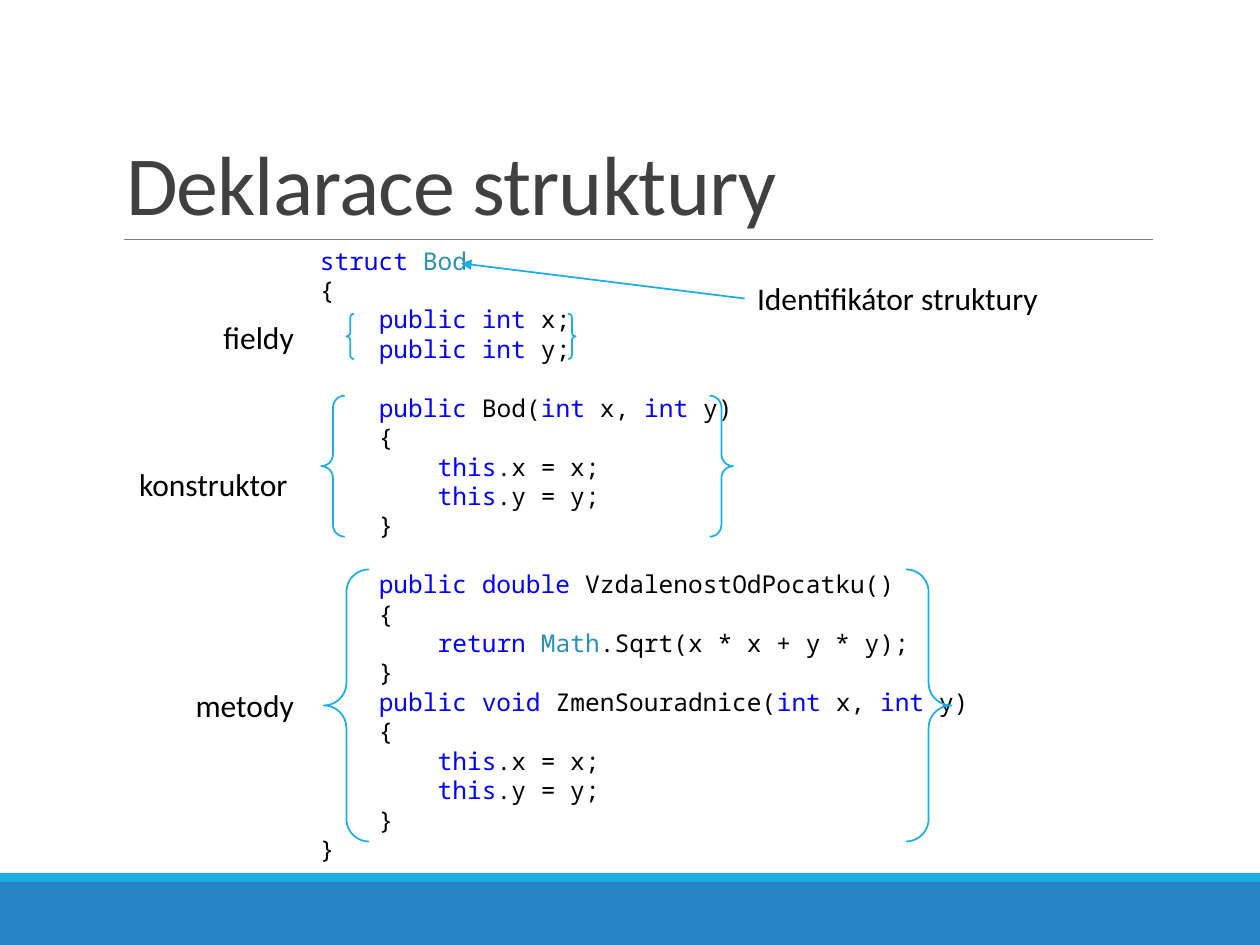
from typing import NamedTuple

from lxml import etree
from pptx import Presentation
from pptx.dml.color import RGBColor
from pptx.enum import shapes, text
from pptx.oxml import ns
from pptx.util import Pt

BLACK = RGBColor(0x00, 0x00, 0x00)
WHITE = RGBColor(0xFF, 0xFF, 0xFF)
DARK = RGBColor(0x40, 0x40, 0x40)
GRAY = RGBColor(0x80, 0x80, 0x80)
BLUE = RGBColor(0x26, 0x83, 0xC6)
CYAN = RGBColor(0x1C, 0xAD, 0xE4)
KEY = RGBColor(0x00, 0x00, 0xFF)
TYPE = RGBColor(0x2B, 0x91, 0xAF)

SANS, MONO = "Calibri", "Noto Sans Mono"
PITCH = 16.8  # height of one code line


class Box(NamedTuple):
    left: float
    top: float
    width: float
    height: float


class Run(NamedTuple):
    words: str
    color: RGBColor = BLACK


class Line(NamedTuple):
    runs: tuple
    gap: float = 0


class Part(NamedTuple):
    name: str
    label: Box
    brace: Box
    inset: float = 7.2


def code(*runs: Run, gap: float = 0) -> Line:
    return Line(runs, gap)


def key(words: str) -> Run:
    return Run(words, KEY)


TAB = Run("    ")
OPEN, CLOSE = code(Run("    {")), code(Run("    }"))
ARGS = (key("int"), Run(" x, "), key("int"), Run(" y)"))
FIELDS = [code(TAB, key("public int"), Run(f" {n};")) for n in "xy"]
ASSIGN = [code(TAB, TAB, key("this"), Run(f".{n} = {n};")) for n in "xy"]
BODY = [OPEN, *ASSIGN, CLOSE]

CODE = [
    code(key("struct "), Run("Bod", TYPE)),
    code(Run("{")),
    *FIELDS,
    code(TAB, key("public"), Run(" Bod("), *ARGS, gap=PITCH),
    *BODY,
    code(TAB, key("public double "), Run("VzdalenostOdPocatku()"), gap=PITCH),
    OPEN,
    code(TAB, TAB, key("return "), Run("Math", TYPE),
         Run(".Sqrt(x * x + y * y);")),
    CLOSE,
    code(TAB, key("public void"), Run(" ZmenSouradnice("), *ARGS),
    *BODY,
    code(Run("}")),
]

PARTS = [
    Part("fieldy", Box(56.2, 186.5, 118.8, 12.2),
         Box(198, 179.3, 131, 25.9)),
    Part("konstruktor", Box(51.8, 251.3, 123.1, 50.4),
         Box(183.6, 226.1, 235.4, 80.6), 10.6),
    Part("metody", Box(56.2, 389.5, 118.8, 26.6),
         Box(185, 325.4, 358.6, 155.5)),
]


def place(box: Box) -> list:
    return [Pt(n) for n in box]


def add_run(para, run: Run, face: str, size: float):
    item = para.add_run()
    item.text = run.words
    item.font.name, item.font.size = face, Pt(size)
    item.font.color.rgb = run.color
    return item


def add_rect(slide, box: Box, fill: RGBColor):
    rect = slide.shapes.add_shape(shapes.MSO_SHAPE.RECTANGLE, *place(box))
    rect.shadow.inherit = False
    rect.fill.solid()
    rect.fill.fore_color.rgb = fill
    rect.line.fill.background()
    return rect


def add_brace(slide, box: Box) -> None:
    brace = slide.shapes.add_shape(shapes.MSO_SHAPE.DOUBLE_BRACE, *place(box))
    brace.shadow.inherit = False
    brace.fill.background()
    brace.line.color.rgb, brace.line.width = CYAN, Pt(1)


def add_line(slide, ends: tuple, color: RGBColor, width: float):
    line = slide.shapes.add_connector(
        shapes.MSO_CONNECTOR.STRAIGHT, *[Pt(n) for n in ends])
    line.line.color.rgb, line.line.width = color, Pt(width)
    etree.SubElement(line._element.spPr, ns.qn("a:effectLst"))
    return line


def add_text(slide, box: Box, lines: list, face: str, size: float):
    area = slide.shapes.add_textbox(*place(box))
    frame = area.text_frame
    frame.word_wrap = True
    for i, line in enumerate(lines):
        para = frame.add_paragraph() if i else frame.paragraphs[0]
        if line.gap:
            para.space_before = Pt(line.gap)
        for run in line.runs:
            add_run(para, run, face, size)
    return area


def add_part(slide, part: Part) -> None:
    frame = add_rect(slide, part.label, WHITE).text_frame
    frame.vertical_anchor = text.MSO_ANCHOR.MIDDLE
    frame.margin_right = Pt(part.inset)
    para = frame.paragraphs[0]
    para.alignment = text.PP_ALIGN.RIGHT
    add_run(para, Run(part.name), SANS, 18)
    add_brace(slide, part.brace)


def add_title(slide, words: str) -> None:
    title = slide.shapes.title
    title.left, title.top, title.width, title.height = place(
        Box(64.8, 22.3, 594, 114.5))
    frame = title.text_frame
    frame.auto_size = text.MSO_AUTO_SIZE.NONE
    frame.vertical_anchor = text.MSO_ANCHOR.BOTTOM
    para = frame.paragraphs[0]
    para.alignment, para.line_spacing = text.PP_ALIGN.LEFT, 0.85
    run = add_run(para, Run(words, DARK), SANS, 48)
    run.font._element.set("spc", "-50")


def main() -> None:
    deck = Presentation()
    deck.slide_width, deck.slide_height = Pt(720), Pt(540)
    slide = deck.slides.add_slide(deck.slide_layouts[5])

    # Footer bands, title and its rule
    add_rect(slide, Box(0, 504, 720, 36), BLUE)
    add_rect(slide, Box(0, 499, 720, 5), CYAN)
    add_line(slide, (70.6, 136.8, 658.8, 136.8), GRAY, 0.5)
    add_title(slide, "Deklarace struktury")

    # Code with its labelled parts
    add_text(slide, Box(175.7, 136.8, 410.4, 363.6), CODE, MONO, 14)
    for part in PARTS:
        add_part(slide, part)

    # Callout for the identifier
    label = add_text(slide, Box(425.5, 156.2, 203, 28.8),
                     [code(Run("Identifikátor struktury"))], SANS, 18)
    arrow = add_line(slide, (425.5, 170.6, 263.5, 150.5), CYAN, 1)
    arrow.begin_connect(label, 1)
    etree.SubElement(arrow.line._get_or_add_ln(), ns.qn("a:tailEnd"),
                     type="triangle")

    deck.save("out.pptx")


if __name__ == "__main__":
    main()
